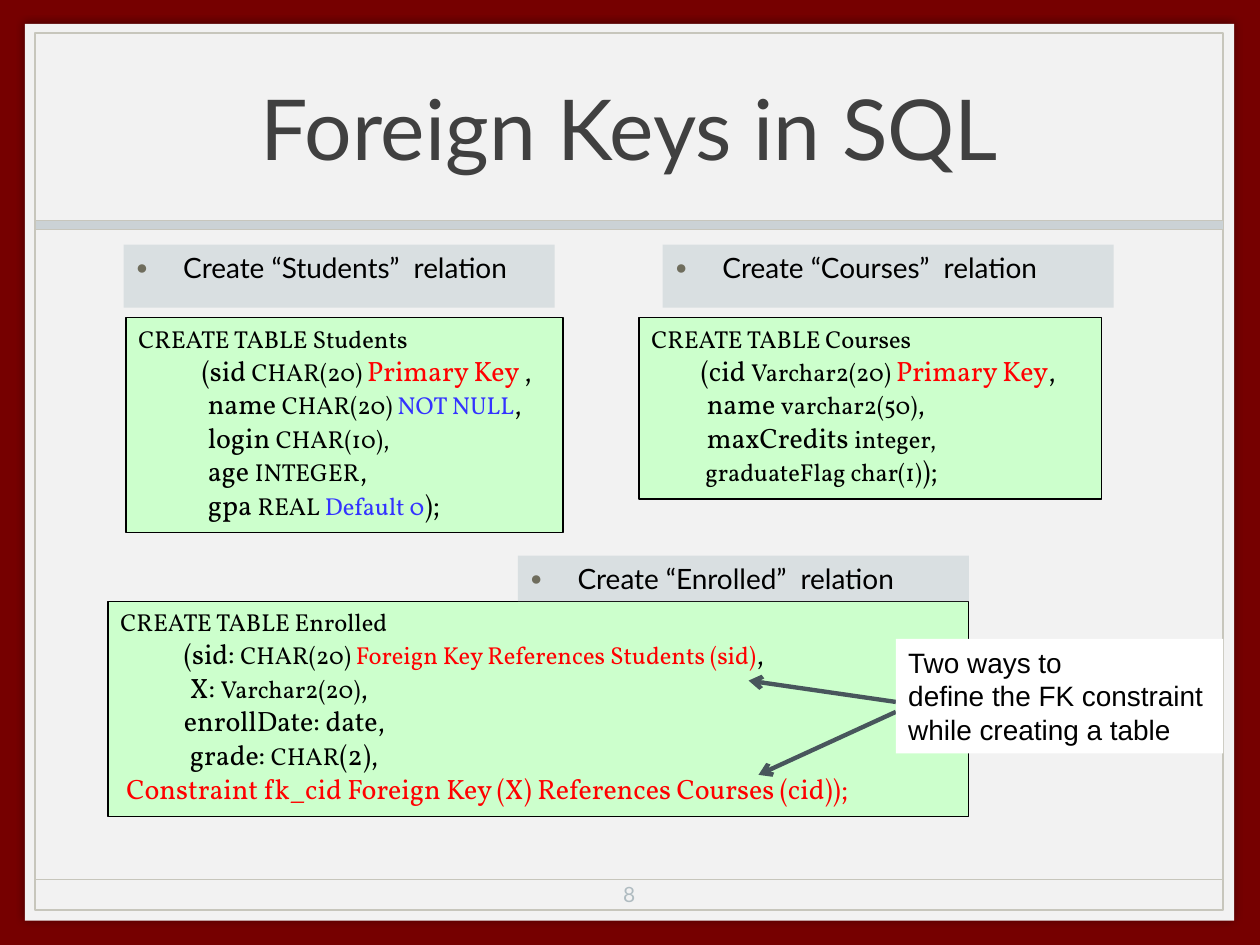
from lxml import etree
from pptx import Presentation
from pptx.dml.color import RGBColor
from pptx.enum.shapes import MSO_CONNECTOR, MSO_SHAPE
from pptx.enum.text import MSO_ANCHOR, MSO_AUTO_SIZE, PP_ALIGN
from pptx.oxml.ns import qn
from pptx.util import Cm, Pt

RECTANGLE = MSO_SHAPE.RECTANGLE
STRAIGHT = MSO_CONNECTOR.STRAIGHT
TOP, MIDDLE = MSO_ANCHOR.TOP, MSO_ANCHOR.MIDDLE
LEFT, CENTER = PP_ALIGN.LEFT, PP_ALIGN.CENTER
NO_AUTOFIT = MSO_AUTO_SIZE.NONE

COLORS = {
    "border": "760000", "panel": "F2F2F2", "frame": "C7C6BC", "band": "CBD2D5",
    "title": "404040", "number": "B0BCC1", "heading": "D9DFE1", "bullet": "6F6D5D",
    "code": "CCFFCC", "black": "000000", "key": "FF0000", "option": "3333FF",
    "arrow": "48565C", "white": "FFFFFF",
}
STYLES = {
    "name": (16, "black"), "type": (14, "black"), "key": (16, "key"),
    "reference": (14, "key"), "option": (14, "option"),
}

TITLE = "Foreign Keys in SQL"
PAGE_NUMBER = "8"
HEADINGS = [
    (1, "Create “Students”  relation", (2.49, 4.93, 8.69, 1.27)),
    (3, "Create “Courses”  relation", (13.36, 4.93, 9.09, 1.27)),
    (2, "Create “Enrolled”  relation", (10.44, 11.2, 9.09, 0.92)),
]
STATEMENTS = [
    ((2.54, 6.4, 8.81, 4.34), [
        (0, [("CREATE TABLE Students", "type")]),
        (1.28, [("(sid ", "name"), ("CHAR(20) ", "type"), ("Primary Key ", "key"), (",", "name")]),
        (1.4, [("name ", "name"), ("CHAR(20) ", "type"), ("NOT NULL", "option"), (",", "name")]),
        (1.4, [("login ", "name"), ("CHAR(10),", "type")]),
        (1.4, [("age ", "name"), ("INTEGER", "type"), (",", "name")]),
        (1.4, [("gpa ", "name"), ("REAL ", "type"), ("Default 0", "option"), (");", "name")]),
    ]),
    ((12.88, 6.4, 9.32, 3.66), [
        (0, [("CREATE TABLE Courses", "type")]),
        (1, [("(cid ", "name"), ("Varchar2(20) ", "type"), ("Primary Key", "key"), (",", "name")]),
        (1.12, [("name ", "name"), ("varchar2(50)", "type"), (",", "name")]),
        (1.12, [("maxCredits ", "name"), ("integer,", "type")]),
        (1.09, [("graduateFlag char(1)", "type"), (");", "name")]),
    ]),
    ((2.18, 12.12, 17.35, 4.34), [
        (0, [("CREATE TABLE Enrolled", "type")]),
        (1.28, [("(sid: ", "name"), ("CHAR(20) ", "type"),
                ("Foreign Key References Students (sid)", "reference"), (",", "name")]),
        (1.4, [("X: ", "name"), ("Varchar2(20)", "type"), (",", "name")]),
        (1.28, [("enrollDate: date,", "name")]),
        (1.4, [("grade: ", "name"), ("CHAR", "type"), ("(2),", "name")]),
        (0.12, [("Constraint fk_cid Foreign Key (X) References Courses (cid));", "key")]),
    ]),
]
NOTE = ["Two ways to", "define the FK constraint", "while creating a table"]
NOTE_BOX = (18.06, 12.88, 6.6, 2.31)
NOTE_ARROWS = [((18.06, 14.15), (15.09, 13.72)), ((18.06, 14.35), (15.29, 15.62))]


def rgb(color):
    return RGBColor.from_string(COLORS[color])


def child(parent, tag, **attributes):
    return etree.SubElement(parent, qn(tag), attributes)


def paint(shape, fill=None, line=None, width=0.75):
    if fill:
        shape.fill.solid()
        shape.fill.fore_color.rgb = rgb(fill)
    else:
        shape.fill.background()
    if line:
        shape.line.color.rgb = rgb(line)
        shape.line.width = Pt(width)
    else:
        shape.line.fill.background()


def add_rectangle(slide, box, **look):
    rectangle = slide.shapes.add_shape(RECTANGLE, *map(Cm, box))
    rectangle.shadow.inherit = False
    paint(rectangle, **look)
    return rectangle


def add_line(slide, start, end, color, width, arrow=False):
    line = slide.shapes.add_connector(STRAIGHT, *map(Cm, start + end))
    line.line.color.rgb = rgb(color)
    line.line.width = Pt(width)
    if arrow:
        child(line.line._get_or_add_ln(), "a:tailEnd", type="arrow")
    child(line._element.spPr, "a:effectLst")


def add_run(paragraph, text, font, size, color):
    run = paragraph.add_run()
    run.text = text
    run.font.name = font
    run.font.size = Pt(size)
    run.font.bold = False
    run.font.color.rgb = rgb(color)


def add_paragraphs(frame, lines, font, align=LEFT):
    for number, (indent, runs) in enumerate(lines):
        paragraph = frame.add_paragraph() if number else frame.paragraphs[0]
        paragraph.alignment = align
        if indent:
            paragraph._p.get_or_add_pPr().set("marL", str(Cm(indent)))
        for text, size, color in runs:
            add_run(paragraph, text, font, size, color)


def add_text(slide, box, lines, font, align=LEFT, anchor=TOP, **look):
    textbox = slide.shapes.add_textbox(*map(Cm, box))
    paint(textbox, **look)
    textbox.text_frame.word_wrap = True
    textbox.text_frame.vertical_anchor = anchor
    add_paragraphs(textbox.text_frame, lines, font, align)


def place(slide, placeholder, box, anchor):
    slide.shapes.element.append(placeholder.element)
    placeholder.left, placeholder.top, placeholder.width, placeholder.height = map(Cm, box)
    placeholder.text_frame.auto_size = NO_AUTOFIT
    placeholder.text_frame.vertical_anchor = anchor
    return placeholder.text_frame


def add_heading(slide, placeholder, text, box):
    paragraph = place(slide, placeholder, box, TOP).paragraphs[0]
    paint(placeholder, "heading")
    paragraph.space_before = Pt(3.2)
    properties = paragraph._p.get_or_add_pPr()
    properties.set("marL", str(Cm(0.95)))
    properties.set("indent", str(Cm(-0.95)))
    child(child(properties, "a:buClr"), "a:srgbClr", val=COLORS["bullet"])
    child(properties, "a:buSzPct", val="70000")
    child(properties, "a:buChar", char="●")
    add_run(paragraph, text, "Lato", 16, "black")


def add_backdrop(slide):
    slide.background.fill.solid()
    slide.background.fill.fore_color.rgb = rgb("border")
    panel = add_rectangle(slide, (0.5, 0.48, 24.38, 18.08), fill="panel")
    effects = panel._element.spPr.find(qn("a:effectLst"))
    shadow = child(effects, "a:outerShdw", blurRad=str(Pt(5)), dist="0", dir="0")
    child(child(shadow, "a:srgbClr", val=COLORS["black"]), "a:alpha", val="40000")
    add_rectangle(slide, (0.71, 0.66, 23.95, 17.68), line="frame", width=1)
    add_line(slide, (0.71, 17.73), (24.66, 17.73), "frame", 1)
    add_rectangle(slide, (0.71, 4.45, 23.95, 0.18), fill="band", line="frame", width=0.25)


def main():
    prs = Presentation()
    prs.slide_width, prs.slide_height = Cm(25.4), Cm(19.05)
    slide = prs.slides.add_slide(prs.slide_layouts.get_by_name("Comparison"))
    bodies = {body.placeholder_format.idx: body for body in slide.placeholders}
    add_backdrop(slide)

    title = place(slide, slide.shapes.title, (2.49, 0.69, 20.4, 3.73), MIDDLE)
    add_paragraphs(title, [(0, [(TITLE, 48, "title")])], "Lato", CENTER)
    add_text(slide, (11.63, 17.65, 2.11, 0.76), [(0, [(PAGE_NUMBER, 12, "number")])],
             "Lato", CENTER, MIDDLE)

    for box, lines in STATEMENTS:
        styled = [(indent, [(text, *STYLES[style]) for text, style in runs])
                  for indent, runs in lines]
        add_text(slide, box, styled, "Vollkorn", fill="code", line="black")
    for idx, text, box in HEADINGS:
        add_heading(slide, bodies.pop(idx), text, box)
    for start, end in NOTE_ARROWS:
        add_line(slide, start, end, "arrow", 2.5, arrow=True)
    add_text(slide, NOTE_BOX, [(0, [(text, 16, "black")]) for text in NOTE],
             "Arial", fill="white")

    bodies.pop(0)
    for unused in bodies.values():
        slide.shapes.element.remove(unused.element)
    prs.save("out.pptx")


if __name__ == "__main__":
    main()
